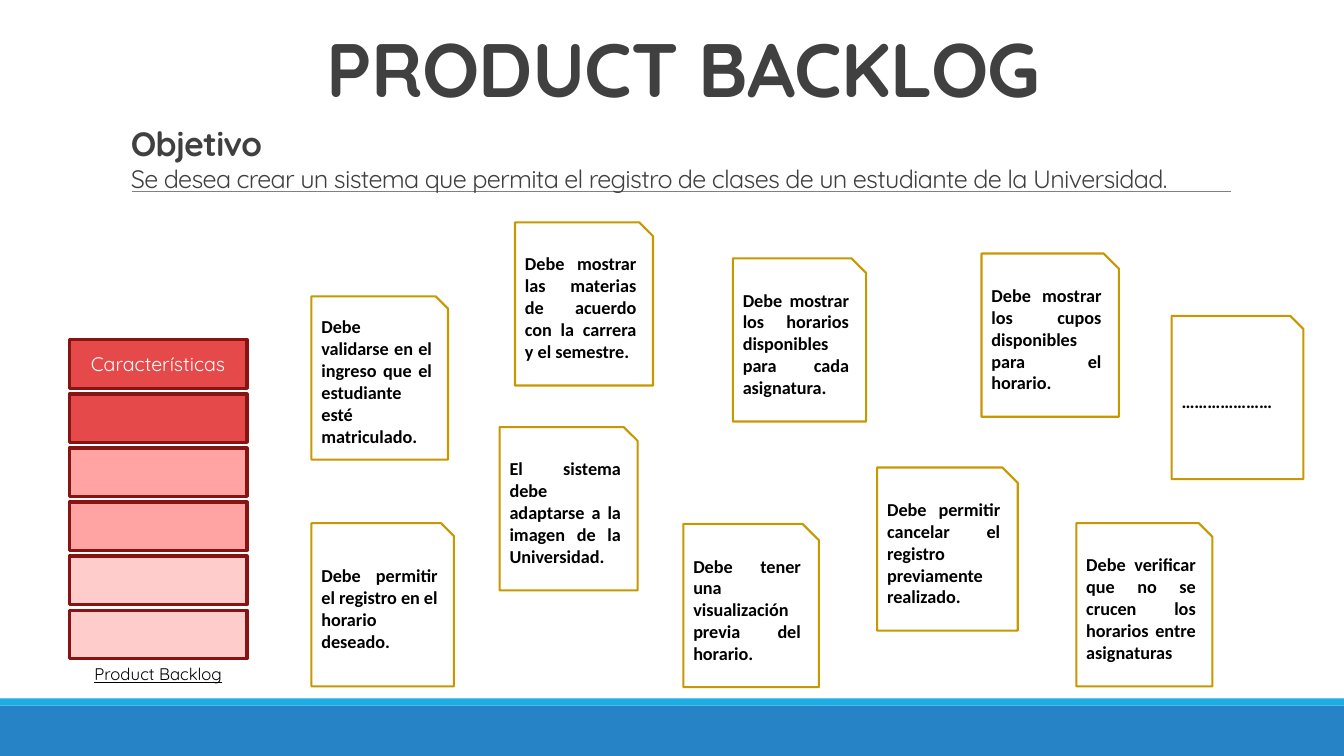
import lxml.etree
import pptx
import pptx.dml.color
import pptx.enum.shapes
import pptx.enum.text
import pptx.oxml.ns
import pptx.util

Pt = pptx.util.Pt
RGB = pptx.dml.color.RGBColor.from_string
SHAPE = pptx.enum.shapes.MSO_SHAPE
ALIGN = pptx.enum.text.PP_ALIGN
ANCHOR = pptx.enum.text.MSO_ANCHOR

THEME = {
    "font": "Quicksand", "card_font": "Calibri",
    "heading": "404040", "text": "000000", "white": "FFFFFF",
    "footer": "2683C6", "footer_edge": "1CADE4", "rule": "808080",
    "bar_line": "871313", "card_line": "C89800",
    "bars": ["E54949", "E54949", "FFA3A3", "FFA3A3", "FFCCCC", "FFCCCC"],
    "title_size": 54, "objective_size": 24, "body_size": 18,
    "bar_size": 14, "card_size": 13, "caption_size": 12,
}


def add_box(kind, left, top, width, height, fill=None, line=None, weight=1):
    sp = s.shapes.add_shape(kind, Pt(left), Pt(top), Pt(width), Pt(height))
    sp.shadow.inherit = False
    if fill:
        sp.fill.solid()
        sp.fill.fore_color.rgb = RGB(fill)
    else:
        sp.fill.background()
    if line:
        sp.line.color.rgb = RGB(line)
        sp.line.width = Pt(weight)
    else:
        sp.line.fill.background()
    return sp


def write(p, text, size, color, align, font=THEME["font"], bold=False, spacing=None):
    p.alignment = align
    r = p.add_run()
    r.text = text
    r.font.name = font
    r.font.size = Pt(size)
    r.font.bold = bold
    r.font.color.rgb = RGB(color)
    if spacing is not None:
        r._r.get_or_add_rPr().set("spc", str(spacing))
    return r


prs = pptx.Presentation()
prs.slide_width, prs.slide_height = Pt(960), Pt(540)
s = prs.slides.add_slide(prs.slide_layouts[6])

# Footer bands
add_box(SHAPE.RECTANGLE, 0, 504, 960, 36, THEME["footer"])
add_box(SHAPE.RECTANGLE, 0, 498.8, 960, 5.2, THEME["footer_edge"])

# Rule under the objective
rule = s.shapes.add_connector(pptx.enum.shapes.MSO_CONNECTOR.STRAIGHT,
                              Pt(94.3), Pt(136.8), Pt(879), Pt(136.8))
rule.line.color.rgb = RGB(THEME["rule"])
rule.line.width = Pt(0.5)
lxml.etree.SubElement(rule._element.spPr, pptx.oxml.ns.qn("a:effectLst"))

# Title
tf = s.shapes.add_textbox(Pt(92.2), Pt(14.4), Pt(792), Pt(69.8)).text_frame
tf.word_wrap = True
tf.vertical_anchor = ANCHOR.BOTTOM
p = tf.paragraphs[0]
p.line_spacing = 0.85
write(p, "PRODUCT BACKLOG", THEME["title_size"], THEME["heading"], ALIGN.CENTER,
      bold=True, spacing=-50)

# Stack of backlog bars
BAR_LEFT, BAR_TOP, BAR_WIDTH, BAR_HEIGHT, BAR_PITCH = 49.5, 242.8, 127, 34.6, 38.6
for i, color in enumerate(THEME["bars"]):
    sp = add_box(SHAPE.RECTANGLE, BAR_LEFT, BAR_TOP + i * BAR_PITCH, BAR_WIDTH,
                 BAR_HEIGHT, color, THEME["bar_line"], 2.25)
    if i == 0:
        tf = sp.text_frame
        tf.vertical_anchor = ANCHOR.MIDDLE
        write(tf.paragraphs[0], "Características", THEME["bar_size"],
              THEME["white"], ALIGN.CENTER)

# Caption of the stack
tf = s.shapes.add_textbox(Pt(BAR_LEFT), Pt(470.9), Pt(BAR_WIDTH), Pt(27.4)).text_frame
tf.word_wrap = True
r = write(tf.paragraphs[0], "Product Backlog", THEME["caption_size"], THEME["text"],
          ALIGN.CENTER)
r.font.underline = True

# Requirement cards: left, top, width, corner snip, text
CARD_HEIGHT = 116.6
cards = [
    (222.5, 211.7, 97.5, 0.09,
     "Debe validarse en el ingreso que el estudiante esté matriculado."),
    (367.9, 158.8, 98.6, 0.1,
     "Debe mostrar las materias de acuerdo con la carrera y el semestre."),
    (222.5, 373.7, 101.7, 0.09, "Debe permitir el registro en el horario deseado."),
    (356.9, 305.1, 98.6, 0.1,
     "El sistema debe adaptarse a la imagen de la Universidad."),
    (626.6, 333.9, 100.4, 0.11,
     "Debe permitir cancelar el registro previamente realizado."),
    (523.5, 184.5, 95.2, 0.11,
     "Debe mostrar los horarios disponibles para cada asignatura."),
    (768.8, 373.7, 97.2, 0.1,
     "Debe verificar que no se crucen los horarios entre asignaturas"),
    (701.1, 181.1, 98.1, 0.11, "Debe mostrar los cupos disponibles para el horario."),
    (488.1, 374.2, 96.8, 0.12, "Debe tener una visualización previa del horario."),
    (836.9, 225.6, 94.1, 0.1, "…………………"),
]
for left, top, width, snip, text in cards:
    sp = add_box(SHAPE.SNIP_1_RECTANGLE, left, top, width, CARD_HEIGHT,
                 line=THEME["card_line"], weight=1.5)
    sp.adjustments[0] = snip
    tf = sp.text_frame
    tf.word_wrap = True
    tf.vertical_anchor = ANCHOR.MIDDLE
    write(tf.paragraphs[0], text, THEME["card_size"], THEME["text"], ALIGN.JUSTIFY,
          font=THEME["card_font"], bold=True)

# Objective
tf = s.shapes.add_textbox(Pt(86.4), Pt(84.2), Pt(834.5), Pt(58.3)).text_frame
tf.word_wrap = True
write(tf.paragraphs[0], "Objetivo", THEME["objective_size"], THEME["heading"],
      ALIGN.JUSTIFY, bold=True, spacing=-50)
write(tf.add_paragraph(),
      "Se desea crear un sistema que permita el registro de clases de un estudiante "
      "de la Universidad.",
      THEME["body_size"], THEME["heading"], ALIGN.JUSTIFY, spacing=-50)

prs.save("out.pptx")
